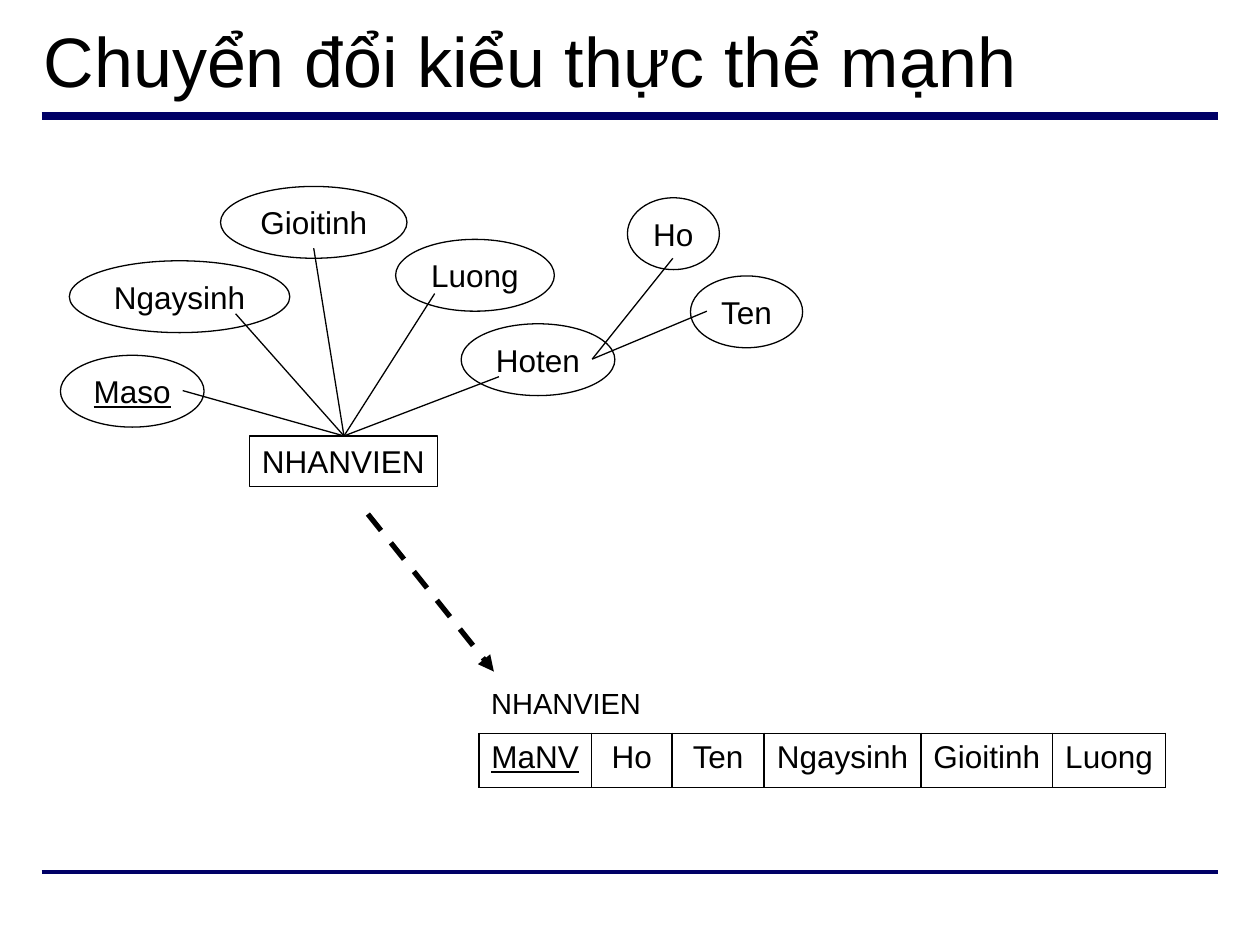
from lxml.etree import SubElement
from pptx import Presentation
from pptx.dml.color import RGBColor
from pptx.enum.dml import MSO_LINE
from pptx.enum.shapes import MSO_CONNECTOR, MSO_SHAPE
from pptx.enum.text import MSO_ANCHOR, PP_ALIGN
from pptx.oxml import parse_xml
from pptx.oxml.ns import nsdecls, qn
from pptx.util import Inches, Pt

BLACK = RGBColor(0x00, 0x00, 0x00)
WHITE = RGBColor(0xFF, 0xFF, 0xFF)
NAVY = RGBColor(0x00, 0x00, 0x66)

deck = Presentation()
deck.slide_width, deck.slide_height = Inches(10), Inches(7.5)
slide = deck.slides.add_slide(deck.slide_layouts[6])
shapes = slide.shapes

# Grid of 100 columns by 75 rows
COL = deck.slide_width / 100
ROW = deck.slide_height / 75


def write(frame, words, size, align=PP_ALIGN.LEFT, underline=None):
    paragraph = frame.paragraphs[0]
    paragraph.alignment = align
    run = paragraph.add_run()
    run.text = words
    run.font.name = "Arial"
    run.font.size = Pt(size)
    run.font.color.rgb = BLACK
    run.font.underline = underline
    return paragraph


def draw_line(start, end, color=BLACK, width=0.75):
    """Join two (column, row) points with a shadowless line."""
    line = shapes.add_connector(
        MSO_CONNECTOR.STRAIGHT,
        int(start[0] * COL), int(start[1] * ROW), int(end[0] * COL), int(end[1] * ROW))
    line.line.color.rgb = color
    line.line.width = Pt(width)
    SubElement(line._element.spPr, qn("a:effectLst"))
    return line


# Title and the two rules
for rule_row, rule_width in [(9.2, 4.5), (69.2, 2.25)]:
    draw_line((3.3, rule_row), (96.7, rule_row), NAVY, rule_width)

title = shapes.add_textbox(int(2.5 * COL), int(0.9 * ROW), int(95 * COL), int(7.7 * ROW))
title.text_frame.word_wrap = True
title.text_frame.vertical_anchor = MSO_ANCHOR.MIDDLE
write(title.text_frame, "Chuyển đổi kiểu thực thể mạnh", 40)

# Entity with its attributes: name, left, top, width, height, links
ENTITY_TOP = (27.3, 34.6)
HOTEN_SIDE = (47, 28.5)
OVAL_HEIGHT = 5.7
nodes = [
    ("NHANVIEN", 19.8, 34.6, 14.9, 4, None, None),
    ("Hoten", 36.6, 25.7, 12.2, OVAL_HEIGHT, (39.6, 29.9), ENTITY_TOP),
    ("Ho", 49.8, 15.7, 7.3, OVAL_HEIGHT, (53.4, 20.5), HOTEN_SIDE),
    ("Ten", 54.8, 21.9, 8.9, OVAL_HEIGHT, (56.1, 24.7), HOTEN_SIDE),
    ("Ngaysinh", 5.5, 20.7, 17.5, OVAL_HEIGHT, (18.7, 24.9), ENTITY_TOP),
    ("Maso", 4.8, 28.2, 11.4, OVAL_HEIGHT, (14.5, 31), ENTITY_TOP),
    ("Luong", 31.4, 19, 12.6, OVAL_HEIGHT, (34.5, 23.3), ENTITY_TOP),
    ("Gioitinh", 17.5, 14.8, 14.8, OVAL_HEIGHT, (24.9, 19.7), ENTITY_TOP),
]
for name, left, top, width, height, link_start, link_end in nodes:
    outline = MSO_SHAPE.OVAL if link_start else MSO_SHAPE.RECTANGLE
    node = shapes.add_shape(
        outline, int(left * COL), int(top * ROW), int(width * COL), int(height * ROW))
    node.shadow.inherit = False
    node.fill.solid()
    node.fill.fore_color.rgb = WHITE
    node.line.color.rgb = BLACK
    node.line.width = Pt(0.75)
    node.text_frame.word_wrap = False
    node.text_frame.vertical_anchor = MSO_ANCHOR.MIDDLE
    write(node.text_frame, name, 18, PP_ALIGN.CENTER, name == "Maso" or None)
    if link_start:
        draw_line(link_start, link_end)

# Resulting relation
RELATION_LEFT, RELATION_TOP, RELATION_HEIGHT = 38, 58.2, 4.3
fields = [("MaNV", 8.95), ("Ho", 6.4), ("Ten", 7.3),
          ("Ngaysinh", 12.45), ("Gioitinh", 10.45), ("Luong", 8.95)]

caption = shapes.add_textbox(
    int(RELATION_LEFT * COL), int(54.2 * ROW), int(22.6 * COL), int(4 * ROW))
caption.text_frame.word_wrap = True
write(caption.text_frame, "NHANVIEN", 16.6).line_spacing = 0.9

relation = shapes.add_table(
    1, len(fields), int(RELATION_LEFT * COL), int(RELATION_TOP * ROW),
    int(sum(share for _, share in fields) * COL), int(RELATION_HEIGHT * ROW)).table
relation.first_row = relation.horz_banding = False
for index, (field, share) in enumerate(fields):
    relation.columns[index].width = int(share * COL)
    cell = relation.cell(0, index)
    cell.vertical_anchor = MSO_ANCHOR.TOP
    cell.margin_left = cell.margin_right = Inches(0.05)
    cell.fill.background()
    write(cell.text_frame, field, 18, PP_ALIGN.CENTER, field == "MaNV" or None)
    for position, side in enumerate(["lnL", "lnR", "lnT", "lnB"]):
        border = parse_xml(
            f'<a:{side} {nsdecls("a")} w="{Pt(1)}"><a:solidFill>'
            f'<a:srgbClr val="{BLACK}"/></a:solidFill></a:{side}>')
        cell._tc.get_or_add_tcPr().insert(position, border)

# Dashed arrow from the entity to the relation
arrow = draw_line((29.2, 40.8), (39.2, 53.3), width=3)
arrow.line.dash_style = MSO_LINE.DASH
SubElement(arrow.line._get_or_add_ln(), qn("a:tailEnd"), type="triangle")

deck.save("out.pptx")
